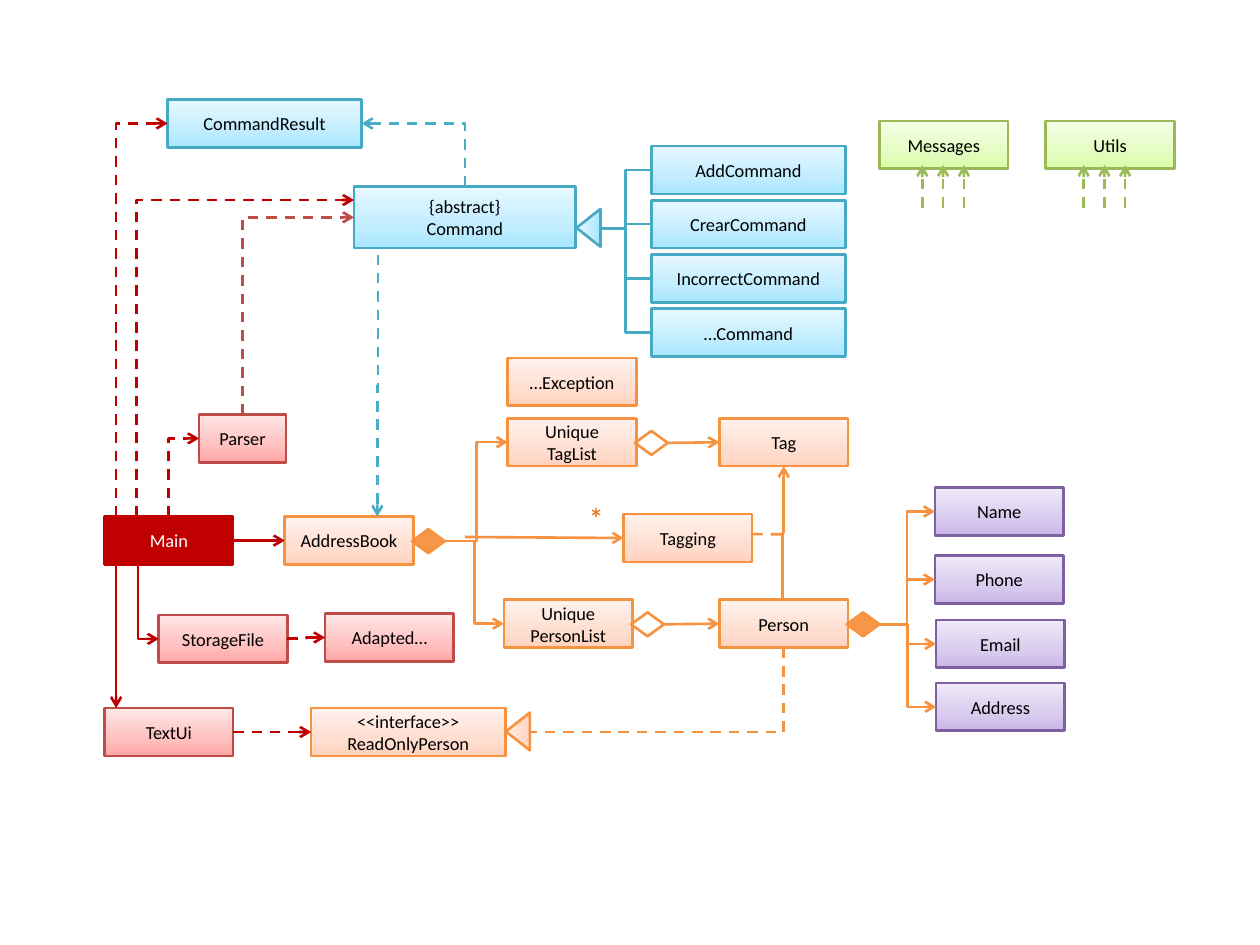
from copy import deepcopy
from dataclasses import dataclass

from lxml import etree
from pptx import Presentation
from pptx import util as u
from pptx.dml.color import RGBColor
from pptx.enum import dml, shapes, text
from pptx.oxml.ns import qn

NODE_W, NODE_H = 1.02, 0.38
WIDE = 1.54
RED, AMBER, CYAN, GREEN = "C00000", "F69240", "46AAC5", "9BBB59"
DEPENDENCY_CYAN = "4BACC6"
# Outline, then gradient colours from bottom to top
PALETTES = {
    "ui": ("BF4C48", "FFA6A5", "FFC0BF", "FFE7E7"),
    "data": (AMBER, "FFD2BD", "FFDED0", "FFF2ED"),
    "detail": ("7D60A0", "C9B5E8", "D8CBEE", "F0EAF9"),
    "command": (CYAN, "A7E6FF", "C1EDFF", "E7F8FF"),
    "common": ("98B955", "DAFDA7", "E4FCC2", "F5FFE7"),
}


@dataclass
class Box:
    """A rectangle in inches."""
    x: float
    y: float
    w: float = NODE_W
    h: float = NODE_H

    def at(self, across, down):
        """Point at the given shares of width and height."""
        return self.x + across * self.w, self.y + down * self.h

    def inner(self, dx, dy, w=NODE_W, h=NODE_H):
        """Box offset from this one's top left corner."""
        return Box(self.x + dx, self.y + dy, w, h)


def color(hex_string):
    """Colour from a hex string."""
    return RGBColor.from_string(hex_string)


def add_outlined(slide, kind, box, line_color):
    """Shape with a plain outline and no shadow."""
    shape = slide.shapes.add_shape(kind, *map(u.Inches, (box.x, box.y, box.w, box.h)))
    shape.shadow.inherit = False
    shape.line.color.rgb = color(line_color)
    shape.line.width = u.Pt(1.5)
    return shape


def shade(shape, stops):
    """Fill with a three-colour gradient rising from the bottom."""
    shape.fill.gradient()
    shape.fill.gradient_angle = 90
    stop_list = shape._element.spPr.find(qn("a:gradFill")).find(qn("a:gsLst"))
    stop_list.insert(1, deepcopy(stop_list[0]))
    for stop, position, hex_string in zip(shape.fill.gradient_stops, (0, 0.35, 1), stops):
        stop.position = position
        stop.color.rgb = color(hex_string)


def add_node(slide, label, palette, box):
    """Labelled class box; returns its place."""
    outline, *stops = PALETTES.get(palette, (RED,))
    node = add_outlined(slide, shapes.MSO_SHAPE.RECTANGLE, box, outline)
    if stops:
        shade(node, stops)
    else:
        node.fill.solid()
        node.fill.fore_color.rgb = color(RED)
    frame = node.text_frame
    frame.word_wrap = True
    frame.vertical_anchor = text.MSO_ANCHOR.MIDDLE
    frame.margin_left = frame.margin_right = frame.margin_top = frame.margin_bottom = 0
    frame.text = label
    for paragraph in frame.paragraphs:
        paragraph.alignment = text.PP_ALIGN.CENTER
        paragraph.font.size = u.Pt(10.5)
        paragraph.font.name = "Calibri"
        paragraph.font.color.rgb = color("000000" if stops else "FFFFFF")
    return box


def add_link(slide, start, end, line_color, route="straight", dash=False, arrow=True):
    """Connector: straight, or turning as hvh, vhv or vh."""
    (x1, y1), (x2, y2) = start, end
    upright = route.startswith("v")
    if upright:  # laid out sideways, then turned a quarter
        cx, cy, dx, dy = (x1 + x2) / 2, (y1 + y2) / 2, x2 - x1, y2 - y1
        x1, y1, x2, y2 = cx - dy / 2, cy + dx / 2, cx + dy / 2, cy - dx / 2
    kind = shapes.MSO_CONNECTOR.STRAIGHT if route == "straight" else shapes.MSO_CONNECTOR.ELBOW
    link = slide.shapes.add_connector(kind, *map(u.Inches, (x1, y1, x2, y2)))
    properties = link._element.spPr
    if upright:
        properties.find(qn("a:xfrm")).set("rot", "5400000")
    if route == "vh":
        properties.find(qn("a:prstGeom")).set("prst", "bentConnector2")
    link.line.color.rgb = color(line_color)
    link.line.width = u.Pt(1.5)
    if dash:
        link.line.dash_style = dml.MSO_LINE.DASH
    if arrow:
        etree.SubElement(properties.find(qn("a:ln")), qn("a:tailEnd"), type="arrow")
    etree.SubElement(properties, qn("a:effectLst"))


def add_diamond(slide, owner, filled):
    """Aggregation diamond on the owner's right edge; returns its tip."""
    x, y = owner.at(1, 0.5)
    place = Box(x - 0.01, y - 0.09, 0.26, 0.19)
    diamond = add_outlined(slide, shapes.MSO_SHAPE.FLOWCHART_DECISION, place, AMBER)
    if filled:
        diamond.fill.solid()
        diamond.fill.fore_color.rgb = color("F79646")
    else:
        diamond.fill.background()
    return place.at(1, 0.5)


def add_inheritance(slide, parent, down, palette):
    """Triangle pointing at the parent's right edge; returns its base."""
    x, y = parent.at(1, down)
    outline, *stops = PALETTES[palette]
    triangle = add_outlined(slide, shapes.MSO_SHAPE.ISOSCELES_TRIANGLE,
                            Box(x - 0.05, y - 0.1, 0.3, 0.19), outline)
    triangle.rotation = 270
    shade(triangle, stops)
    return x + 0.19, y


def add_commands(slide, area):
    """Command result, abstract command and its subclasses."""
    result = add_node(slide, "CommandResult", "command", area.inner(0, 0, WIDE))
    command = add_node(slide, "{abstract}\vCommand", "command", area.inner(1.48, 0.69, 1.76, 0.49))
    base = add_inheritance(slide, command, 0.68, "command")
    names = ("AddCommand", "CrearCommand", "IncorrectCommand", "…Command")
    for row, name in enumerate(names):
        child = add_node(slide, name, "command", area.inner(3.84, 0.37 + 0.43 * row, WIDE))
        add_link(slide, base, child.at(0, 0.5), CYAN, "hvh", arrow=False)
    add_link(slide, command.at(0.5, 0), result.at(1, 0.5), DEPENDENCY_CYAN, "vh", dash=True)
    return result, command


def add_common(slide, area):
    """Shared helpers, each with three incoming arrows."""
    for name, dx, first in (("Messages", 0, 0.34), ("Utils", 1.32, 0.3)):
        helper = add_node(slide, name, "common", area.inner(dx, 0))
        for column in range(3):
            x = helper.x + first + 0.165 * column
            add_link(slide, (x, area.y + 0.69), (x, area.y + 0.35), GREEN, dash=True)


def add_front(slide, area, result, command):
    """Main with parser, storage and text interface."""
    main = add_node(slide, "Main", "main", area.inner(0, 0.81))
    parser = add_node(slide, "Parser", "ui", area.inner(0.75, 0, 0.69))
    storage = add_node(slide, "StorageFile", "ui", area.inner(0.43, 1.59))
    adapted = add_node(slide, "Adapted…", "ui", area.inner(1.75, 1.58))
    text_ui = add_node(slide, "TextUi", "ui", area.inner(0, 2.33))
    for across, target in ((0.09, result.at(0, 0.5)), (0.25, command.at(0, 0.22)),
                           (0.5, parser.at(0, 0.5))):
        add_link(slide, main.at(across, 0), target, RED, "vh", dash=True)
    add_link(slide, parser.at(0.5, 0), command.at(0, 0.5), "BF4C48", "vh", dash=True)
    add_link(slide, main.at(0.26, 1), storage.at(0, 0.5), RED, "vh")
    add_link(slide, main.at(0.09, 1), text_ui.at(0.09, 0), RED)
    add_link(slide, storage.at(1, 0.5), adapted.at(0, 0.5), RED, "hvh", dash=True)
    return main, text_ui


def add_data(slide, area):
    """Address book with its lists, tags and persons."""
    book = add_node(slide, "AddressBook", "data", area.inner(0, 1.26))
    add_node(slide, "…Exception", "data", area.inner(1.77, 0))
    tag_list = add_node(slide, "Unique\vTagList", "data", area.inner(1.77, 0.48))
    person_list = add_node(slide, "Unique\vPersonList", "data", area.inner(1.74, 1.92))
    tag = add_node(slide, "Tag", "data", area.inner(3.45, 0.48))
    person = add_node(slide, "Person", "data", area.inner(3.45, 1.92))
    tagging = add_node(slide, "Tagging", "data", area.inner(2.69, 1.24))
    reader = add_node(slide, "<<interface>>\nReadOnlyPerson", "data", area.inner(0.21, 2.78, WIDE))
    book_tip = add_diamond(slide, book, filled=True)
    for holder, item in ((tag_list, tag), (person_list, person)):
        add_link(slide, book_tip, holder.at(0, 0.5), AMBER, "hvh")
        add_link(slide, add_diamond(slide, holder, filled=False), item.at(0, 0.5), AMBER)
    add_link(slide, area.at(0.32, 0.45), tagging.at(0, 0.5), AMBER)
    add_link(slide, tagging.at(1, 0.42), (person.x + 0.53, tagging.y + 0.16), AMBER,
             dash=True, arrow=False)
    add_link(slide, person.at(0.49, 0), tag.at(0.5, 1), AMBER, "vhv")
    base = add_inheritance(slide, reader, 0.5, "data")
    add_link(slide, person.at(0.5, 1), base, AMBER, "vh", dash=True, arrow=False)
    many = slide.shapes.add_textbox(*map(u.Inches, (area.x + 2.41, area.y + 1.07, 0.1, 0.4)))
    frame = many.text_frame
    frame.margin_left = frame.margin_right = 0
    frame.text = "*"
    font = frame.paragraphs[0].font
    font.size, font.name, font.color.rgb = u.Pt(18), "Calibri", color("E46C0A")
    return book, person, reader


def add_details(slide, area, person):
    """Fields that make up a person."""
    tip = add_diamond(slide, person, filled=True)
    for name, dx, dy in (("Name", 0, 0), ("Phone", 0, 0.54),
                         ("Email", 0.01, 1.05), ("Address", 0.01, 1.55)):
        field = add_node(slide, name, "detail", area.inner(dx, dy))
        add_link(slide, tip, field.at(0, 0.5), AMBER, "hvh")


def build():
    """Class diagram slide."""
    deck = Presentation()
    deck.slide_width, deck.slide_height = u.Inches(10), u.Inches(7.5)
    slide = deck.slides.add_slide(deck.slide_layouts[6])
    result, command = add_commands(slide, Box(1.33, 0.79, 5.38, 2.04))
    add_common(slide, Box(6.98, 0.96, 2.34, 0.69))
    main, text_ui = add_front(slide, Box(0.83, 3.29, 2.77, 2.71), result, command)
    book, person, reader = add_data(slide, Box(2.26, 2.84, 4.47, 3.16))
    add_details(slide, Box(7.42, 3.87, 1.03, 1.93), person)
    add_link(slide, main.at(1, 0.5), book.at(0, 0.5), RED)
    add_link(slide, text_ui.at(1, 0.5), reader.at(0, 0.5), RED, dash=True)
    add_link(slide, (3, 2.02), book.at(0.72, 0), DEPENDENCY_CYAN, "vhv", dash=True)
    deck.save("out.pptx")


build()
